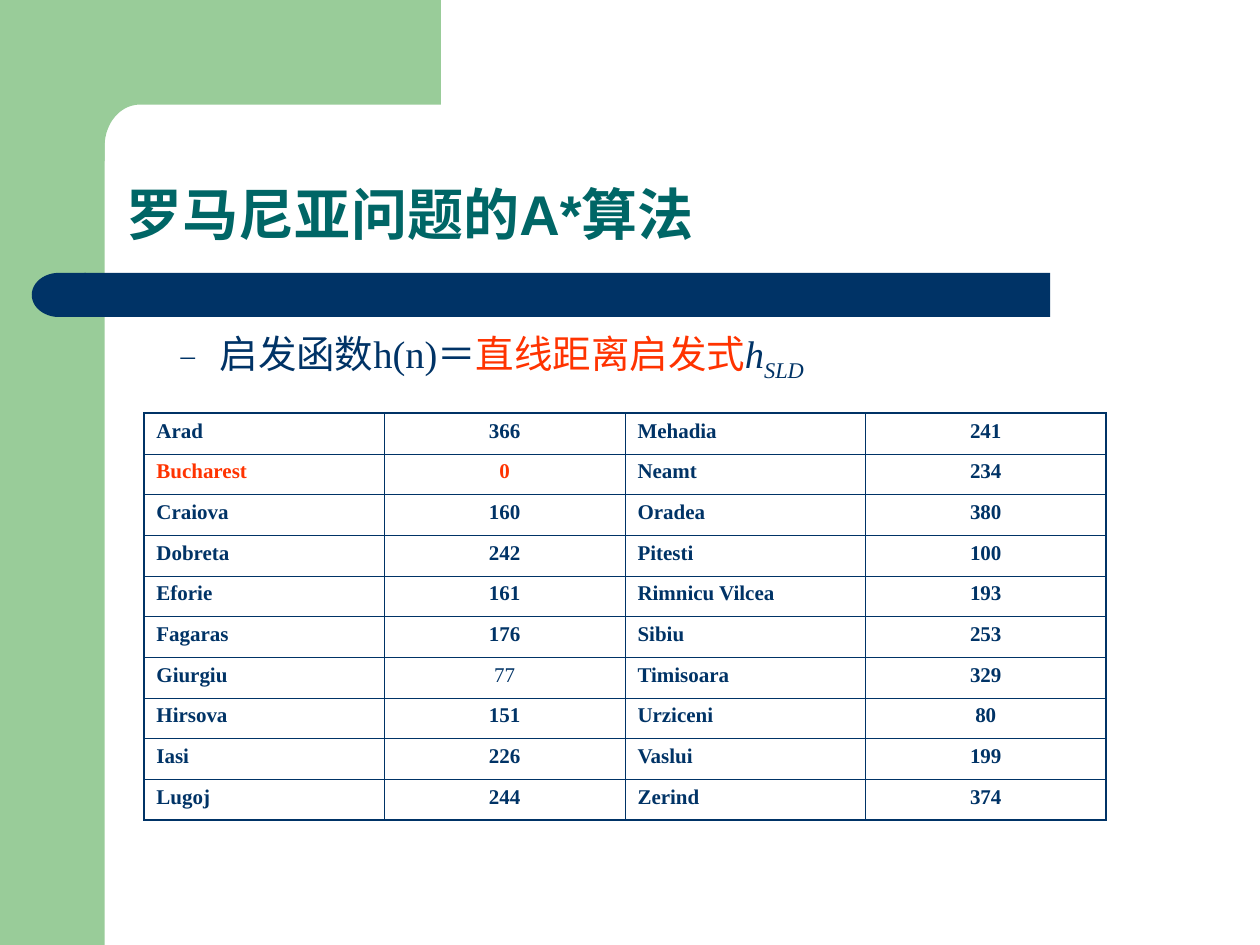
from math import cos, pi, sin
from typing import NamedTuple

from lxml.etree import SubElement
from pptx import Presentation
from pptx.dml.color import RGBColor
from pptx.enum.shapes import MSO_SHAPE as Kind
from pptx.enum.text import MSO_ANCHOR as Anchor, PP_ALIGN as Align
from pptx.oxml.ns import qn
from pptx.util import Cm, Pt

HEX = {"green": "99CC99", "navy": "003366", "red": "FF3300", "teal": "006666"}
SERIF, SANS = "Times New Roman", "Arial"


class Box(NamedTuple):
    left: float
    top: float
    width: float
    height: float

    def size(self) -> list:
        return [Cm(n) for n in self]


class Block(NamedTuple):
    kind: Kind
    box: Box
    fill: str
    turn: int = 0


class Pair(NamedTuple):
    city: str
    dist: int
    color: str = "navy"
    bold: bool = True


BAND = Block(Kind.RECTANGLE, Box(0, 0, 2.11, 19.05), "green")
BARS = [
    Block(Kind.RECTANGLE, Box(1.7, 5.5, 19.47, 0.89), "navy"),
    Block(Kind.FLOWCHART_DELAY, Box(0.64, 5.5, 1.09, 0.89), "navy", 180),
]
WEST = [
    Pair("Arad", 366), Pair("Bucharest", 0, color="red"), Pair("Craiova", 160),
    Pair("Dobreta", 242), Pair("Eforie", 161), Pair("Fagaras", 176),
    Pair("Giurgiu", 77, bold=False), Pair("Hirsova", 151), Pair("Iasi", 226),
    Pair("Lugoj", 244),
]
EAST = [
    Pair("Mehadia", 241), Pair("Neamt", 234), Pair("Oradea", 380),
    Pair("Pitesti", 100), Pair("Rimnicu Vilcea", 193), Pair("Sibiu", 253),
    Pair("Timisoara", 329), Pair("Urziceni", 80), Pair("Vaslui", 199),
    Pair("Zerind", 374),
]


def paint(shape, color: str) -> None:
    shape.shadow.inherit = False
    shape.fill.solid()
    shape.fill.fore_color.rgb = RGBColor.from_string(HEX[color])
    shape.line.fill.background()


def add_block(slide, block: Block) -> None:
    shape = slide.shapes.add_shape(block.kind, *block.box.size())
    shape.rotation = block.turn
    paint(shape, block.fill)


def add_corner(slide) -> None:
    """Draw the top band, whose inner corner is a quarter of an ellipse."""
    mid_x, mid_y, wide, high, steps = 2.82, 2.95, 0.71, 0.84, 24
    turns = [pi / 2 * n / steps for n in range(steps + 1)]
    curve = [(mid_x - wide * sin(t), mid_y - high * cos(t)) for t in turns]
    spots = [(8.89, 2.11), *curve, (2.11, 3.25), (1.27, 3.25), (1.27, 0)]
    form = slide.shapes.build_freeform(Cm(8.89), 0)
    form.add_line_segments([(Cm(x), Cm(y)) for x, y in spots])
    paint(form.convert_to_shape(), "green")


def add_text(para, text: str, *, size: float, color: str = "navy",
             face: str = SERIF, bold: bool = False, italic: bool = False,
             shift: int = 0) -> None:
    """Add a run; shift is the baseline offset in percent."""
    run = para.add_run()
    run.text = text
    font = run.font
    font.name, font.size, font.bold, font.italic = face, Pt(size), bold, italic
    font.color.rgb = RGBColor.from_string(HEX[color])
    if shift:
        font._element.set("baseline", str(shift * 1000))


def add_frame(slide, box: Box, anchor: Anchor):
    frame = slide.shapes.add_textbox(*box.size()).text_frame
    frame.word_wrap = True
    frame.vertical_anchor = anchor
    return frame.paragraphs[0]


def add_dash(para) -> None:
    """Give the paragraph a hanging dash as its bullet."""
    props = para._p.get_or_add_pPr()
    props.set("marL", str(Cm(2.06)))
    props.set("indent", str(Cm(-0.79)))
    tint = SubElement(props, qn("a:buClr"))
    SubElement(tint, qn("a:srgbClr"), val=HEX["navy"])
    SubElement(props, qn("a:buSzPct"), val="75000")
    SubElement(props, qn("a:buFont"), typeface=SERIF)
    SubElement(props, qn("a:buChar"), char="–")


def set_edges(cell, thick: dict[str, bool]) -> None:
    props = cell._tc.get_or_add_tcPr()
    for spot, (side, heavy) in enumerate(thick.items()):
        width = Pt(1.08 if heavy else 0.45)
        edge = SubElement(props, qn(f"a:{side}"), w=str(width))
        fill = SubElement(edge, qn("a:solidFill"))
        SubElement(fill, qn("a:srgbClr"), val=HEX["navy"])
        props.remove(edge)
        props.insert(spot, edge)


def add_grid(slide, box: Box) -> None:
    rows, cols = len(WEST), 4
    table = slide.shapes.add_table(rows, cols, *box.size()).table
    table.first_row = table.horz_banding = False
    for col in table.columns:
        col.width = Cm(box.width / cols)
    for row in table.rows:
        row.height = Cm(box.height / rows)
    for r, pairs in enumerate(zip(WEST, EAST)):
        for c in range(cols):
            pair, is_dist = pairs[c // 2], c % 2 == 1
            cell = table.cell(r, c)
            cell.fill.background()
            set_edges(cell, {"lnL": c == 0, "lnR": c == cols - 1,
                             "lnT": r == 0, "lnB": r == rows - 1})
            para = cell.text_frame.paragraphs[0]
            para.space_before = Pt(3)
            para.alignment = Align.CENTER if is_dist else Align.LEFT
            add_text(para, str(pair.dist) if is_dist else pair.city, size=12,
                     color=pair.color, bold=pair.bold or not is_dist)


def main() -> None:
    deck = Presentation()
    deck.slide_width, deck.slide_height = Cm(25.4), Cm(19.05)
    slide = deck.slides.add_slide(deck.slide_layouts[6])

    add_block(slide, BAND)
    add_corner(slide)
    for bar in BARS:
        add_block(slide, bar)

    rule = add_frame(slide, Box(2.12, 6.53, 21.59, 1.6), Anchor.TOP)
    rule.level = 1
    rule.space_before = Pt(5.5)
    add_dash(rule)
    add_text(rule, "启发函数h(n)＝", size=22)
    add_text(rule, "直线距离启发式", size=22, color="red")
    add_text(rule, "h", size=22, italic=True)
    add_text(rule, "SLD", size=22, italic=True, shift=-25)

    add_grid(slide, Box(2.9, 8.33, 19.4, 8.2))

    title = add_frame(slide, Box(2.31, 2.34, 21.62, 2.77), Anchor.BOTTOM)
    title.line_spacing = 0.9
    add_text(title, "罗马尼亚问题的A*算法", size=32, color="teal", face=SANS,
             bold=True)
    deck.save("out.pptx")


if __name__ == "__main__":
    main()
